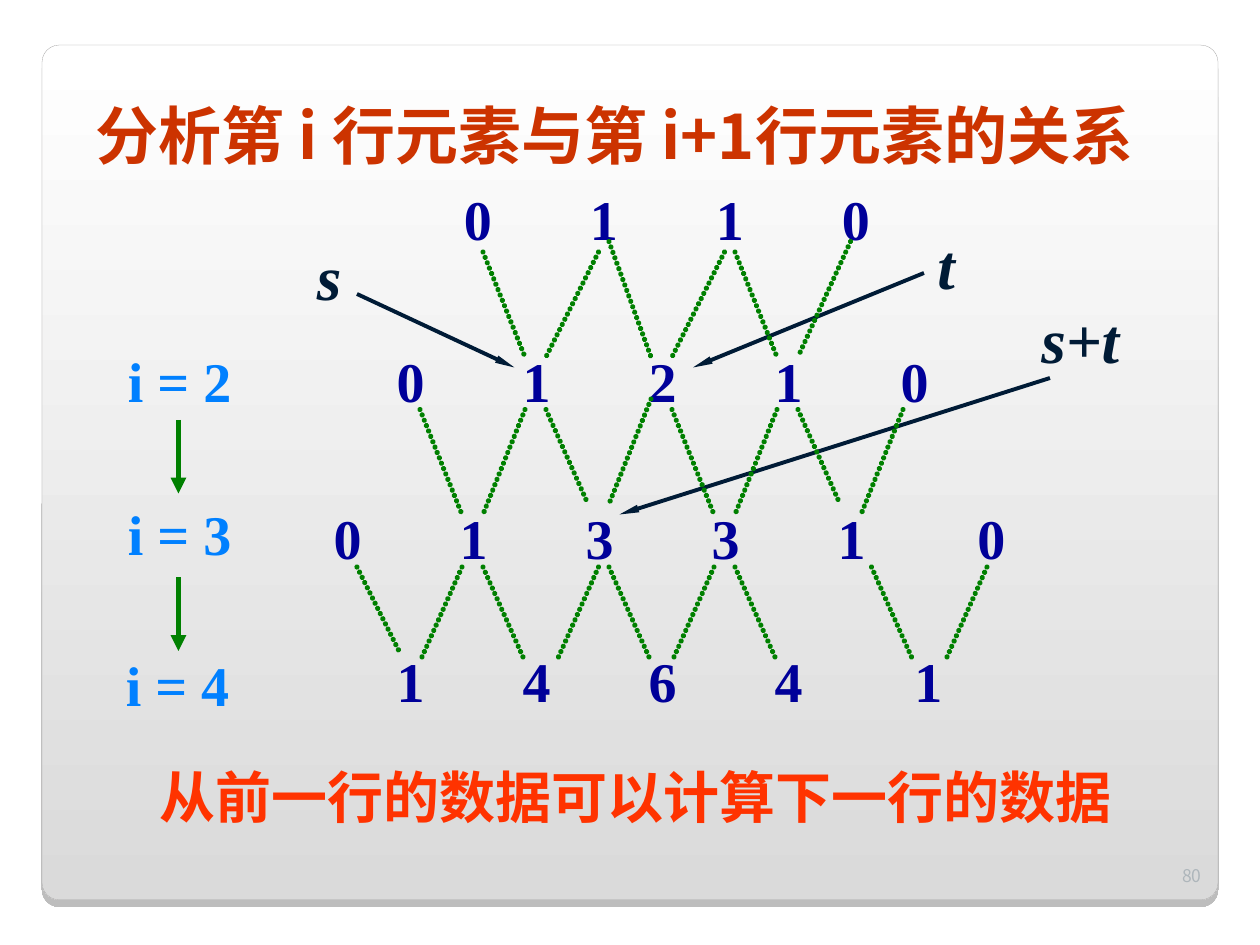
from lxml import etree
from pptx import Presentation
from pptx.dml.color import RGBColor
from pptx.enum.shapes import MSO_CONNECTOR as Connector, MSO_SHAPE as Preset
from pptx.enum.text import MSO_ANCHOR as Anchor, PP_ALIGN as Align
from pptx.oxml import parse_xml
from pptx.oxml.ns import nsdecls, qn
from pptx.util import Pt

PX = 7620  # EMU per px: 120 px to the inch
COLORS = {
    "title": "CC3300", "conclusion": "FF3300", "label": "0080FF",
    "digit": "000099", "note": "001B36", "green": "008000",
    "number": "AEB6BB", "edge": "A4A3A3", "top": "FFFFFF", "bottom": "DADADA",
}
SERIF, SANS, SANS_TITLE = "Times New Roman", "Noto Sans CJK SC", "Noto Sans CJK JP"


def rgb(name):
    return RGBColor.from_string(COLORS[name])


class SlideBuilder:
    def __init__(self, slide):
        self.slide = slide

    def card(self, left, top, width, height):
        shape = self.slide.shapes.add_shape(
            Preset.ROUNDED_RECTANGLE, *[v * PX for v in (left, top, width, height)])
        shape.adjustments[0] = 0.02
        shape.fill.gradient()
        shape.fill.gradient_angle = 270
        for stop, name, position in zip(shape.fill.gradient_stops, ("top", "bottom"), (0, 1)):
            stop.color.rgb = rgb(name)
            stop.position = position
        shape.line.color.rgb = rgb("edge")
        shape.line.width = Pt(0.17)
        shape.element.spPr.append(parse_xml(
            f'<a:effectLst {nsdecls("a")}><a:outerShdw blurRad="0" dist="50800" dir="5400000"'
            ' algn="t" rotWithShape="0"><a:srgbClr val="000000"><a:alpha val="25000"/>'
            '</a:srgbClr></a:outerShdw></a:effectLst>'))
        # The card lies behind the title placeholder
        self.slide.shapes.title.element.addprevious(shape.element)

    def fill_text(self, shape, text, color, size, font, east_font=SANS, bold=True,
                  italic=False, wrap=False, align=Align.LEFT, anchor=Anchor.TOP, tabs=()):
        frame = shape.text_frame
        frame.word_wrap = wrap
        frame.vertical_anchor = anchor
        paragraph = frame.paragraphs[0]
        paragraph.alignment = align
        if tabs:
            tab_list = etree.SubElement(paragraph._p.get_or_add_pPr(), qn("a:tabLst"))
            for position in tabs:
                etree.SubElement(tab_list, qn("a:tab"), pos=str(position * PX), algn="l")
        run = paragraph.add_run()
        run.text = text
        run.font.name = font
        run.font.size = Pt(size)
        run.font.bold = bold
        run.font.italic = italic
        run.font.color.rgb = rgb(color)
        latin = run.font._element.find(qn("a:latin"))
        latin.addnext(parse_xml(f'<a:ea {nsdecls("a")} typeface="{east_font}"/>'))

    def title(self, left, top, width, height, text):
        shape = self.slide.shapes.title
        shape.left, shape.top, shape.width, shape.height = [
            v * PX for v in (left, top, width, height)]
        self.fill_text(shape, text, "title", 36, SANS_TITLE, SANS_TITLE)

    def text(self, left, top, width, height, text, color, size=32, font=SERIF, **style):
        shape = self.slide.shapes.add_textbox(*[v * PX for v in (left, top, width, height)])
        self.fill_text(shape, text, color, size, font, **style)

    def digit_row(self, left, top, digits, last_gap=120):
        """Digits one inch apart; the gap before the last may differ."""
        last = len(digits) - 1
        tabs = [120 * i for i in range(1, last)] + [120 * (last - 1) + last_gap]
        self.text(left, top, tabs[-1] + 60, 77, "\t".join(digits), "digit",
                  wrap=True, tabs=tabs)

    def line(self, x1, y1, x2, y2, color, width, dotted=False, head=None):
        connector = self.slide.shapes.add_connector(
            Connector.STRAIGHT, *[v * PX for v in (x1, y1, x2, y2)])
        connector.line.color.rgb = rgb(color)
        connector.line.width = Pt(width)
        outline = connector.line._get_or_add_ln()
        if dotted:
            # Round dots that almost touch
            outline.set("cap", "rnd")
            dash = etree.SubElement(outline, qn("a:custDash"))
            etree.SubElement(dash, qn("a:ds"), d="100000", sp="10000")
        if head:
            head_width, head_length = head
            etree.SubElement(outline, qn("a:tailEnd"), type="triangle",
                             w=head_width, len=head_length)
        etree.SubElement(connector._element.spPr, qn("a:effectLst"))


def main():
    presentation = Presentation()
    presentation.slide_width, presentation.slide_height = 1200 * PX, 900 * PX
    builder = SlideBuilder(presentation.slides.add_slide(presentation.slide_layouts[5]))

    # Background card, title and conclusion
    builder.card(40, 43, 1120, 814)
    builder.title(79, 86, 1080, 84, "分析第 i 行元素与第 i+1行元素的关系")
    builder.text(140, 720, 960, 77, "从前一行的数据可以计算下一行的数据", "conclusion", wrap=True)

    # Row labels and the arrows between them
    for left, top, label in ((110, 324, "i = 2"), (110, 470, "i = 3"), (108, 614, "i = 4")):
        builder.text(left, top, 136, 77, label, "label")
    for top in (400, 550):
        builder.line(170, top, 170, top + 70, "green", 3, head=("med", "med"))

    # Triangle of numbers
    builder.digit_row(430, 170, "0110")
    builder.digit_row(366, 324, "01210")
    builder.digit_row(306, 474, "013310", last_gap=133)
    builder.digit_row(366, 610, "14641", last_gap=133)

    # Notes with pointers
    notes = (
        ("s", 290, 220, 50, (340, 280, 490, 350)),
        ("t", 881, 210, 46, (880, 260, 660, 350)),
        ("s+t", 980, 280, 110, (1000, 360, 590, 490)),
    )
    for text, left, top, width, pointer in notes:
        builder.line(*pointer, "note", 2.25, head=("sm", "lg"))
        builder.text(left, top, width, 84, text, "note", 36, italic=True)

    # Dotted links: top and bottom of each band, then pairs of x
    links = (
        (230, 340, ((580, 620), (810, 760))),
        (240, 340, ((460, 500), (570, 520), (690, 640), (700, 740))),
        (390, 490, ((400, 440), (500, 460), (640, 680), (740, 700), (860, 820))),
        (390, 480, ((520, 560), (760, 800))),
        (380, 480, ((620, 580),)),
        (540, 630, ((440, 400), (460, 500), (570, 530), (580, 620),
                    (680, 640), (700, 740), (830, 870), (940, 900))),
        (540, 620, ((340, 380),)),
    )
    for top, bottom, pairs in links:
        for upper_x, lower_x in pairs:
            builder.line(upper_x, top, lower_x, bottom, "green", 3, dotted=True)

    # Slide number
    builder.text(1096, 802, 60, 48, "80", "number", 10, SANS, bold=False,
                 wrap=True, align=Align.RIGHT, anchor=Anchor.BOTTOM)

    presentation.save("out.pptx")


if __name__ == "__main__":
    main()
